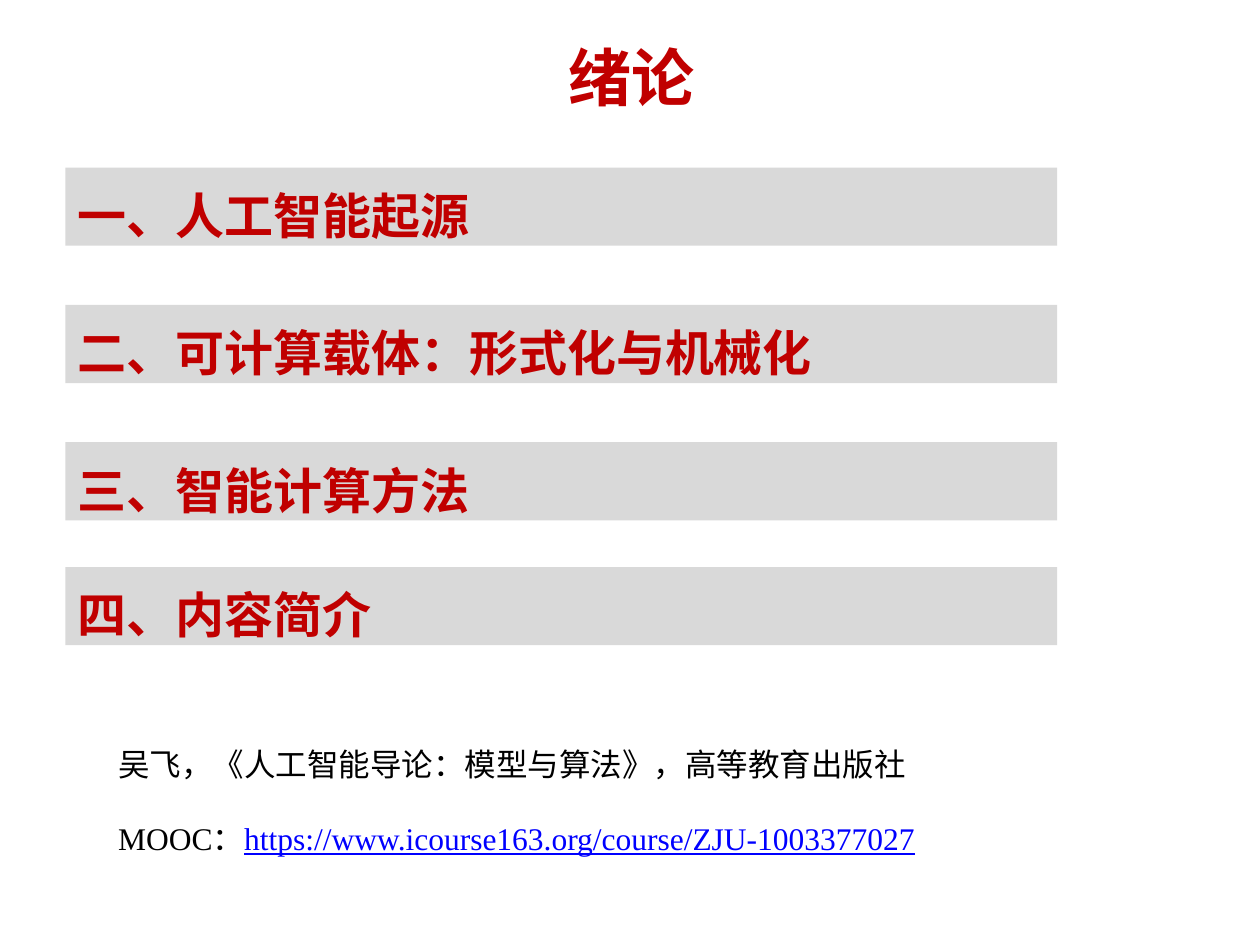
from pptx import Presentation
from pptx.dml.color import RGBColor
from pptx.enum.shapes import MSO_SHAPE as Shape
from pptx.enum.text import MSO_ANCHOR as Anchor, MSO_AUTO_SIZE as AutoSize, PP_ALIGN as Align
from pptx.util import Inches, Pt

FONT = "Times New Roman"
RED, GREY, BLACK, BLUE = "C00000", "D9D9D9", "000000", "0000FF"

# Top edge in inches and heading of each chapter
CHAPTERS = [
    (1.33, "一、人工智能起源"),
    (2.42, "二、可计算载体：形式化与机械化"),
    (3.51, "三、智能计算方法"),
    (4.5, "四、内容简介"),
]


def rgb(hex_color):
    return RGBColor.from_string(hex_color)


def format_runs(paragraph, size, color, bold=False):
    for run in paragraph.runs:
        run.font.name = FONT
        run.font.size = Pt(size)
        run.font.bold = bold
        run.font.color.rgb = rgb(color)


def add_heading(slide, text):
    heading = slide.shapes.title
    heading.left, heading.top = Inches(0.02), Inches(0.11)
    heading.width, heading.height = Inches(9.98), Inches(0.99)
    frame = heading.text_frame
    frame.text = text
    frame.auto_size = AutoSize.NONE
    frame.vertical_anchor = Anchor.MIDDLE
    frame.paragraphs[0].alignment = Align.CENTER
    format_runs(frame.paragraphs[0], 36, RED, bold=True)


def add_chapter(slide, top, text):
    bar = slide.shapes.add_shape(
        Shape.RECTANGLE, Inches(0.52), Inches(top), Inches(7.87), Inches(0.62))
    bar.shadow.inherit = False
    bar.fill.solid()
    bar.fill.fore_color.rgb = rgb(GREY)
    bar.line.fill.background()
    frame = bar.text_frame
    frame.text = text
    frame.word_wrap = True
    frame.vertical_anchor = Anchor.TOP
    chapter = frame.paragraphs[0]
    chapter.alignment = Align.LEFT
    chapter.line_spacing = 1.2
    format_runs(chapter, 28, RED, bold=True)


def add_references(slide, book, course_label, course_url):
    references = slide.shapes.add_textbox(
        Inches(0.84), Inches(5.86), Inches(8.34), Inches(1.01))
    frame = references.text_frame
    frame.word_wrap = True
    frame.text = book
    format_runs(frame.paragraphs[0], 18, BLACK)

    # Online course, one line's height below the book
    course = frame.add_paragraph()
    course.text = course_label
    course.space_before = Pt(21)
    address = course.add_run()
    address.text = course_url
    format_runs(course, 18, BLACK)
    address.font.color.rgb = rgb(BLUE)
    address.font.underline = True


def main():
    prs = Presentation()
    prs.slide_width, prs.slide_height = Inches(10), Inches(7.5)
    slide = prs.slides.add_slide(prs.slide_layouts[5])

    add_heading(slide, "绪论")
    for top, text in CHAPTERS:
        add_chapter(slide, top, text)
    add_references(
        slide,
        "吴飞，《人工智能导论：模型与算法》，高等教育出版社",
        "MOOC：",
        "https://www.icourse163.org/course/ZJU-1003377027",
    )
    prs.save("out.pptx")


if __name__ == "__main__":
    main()
